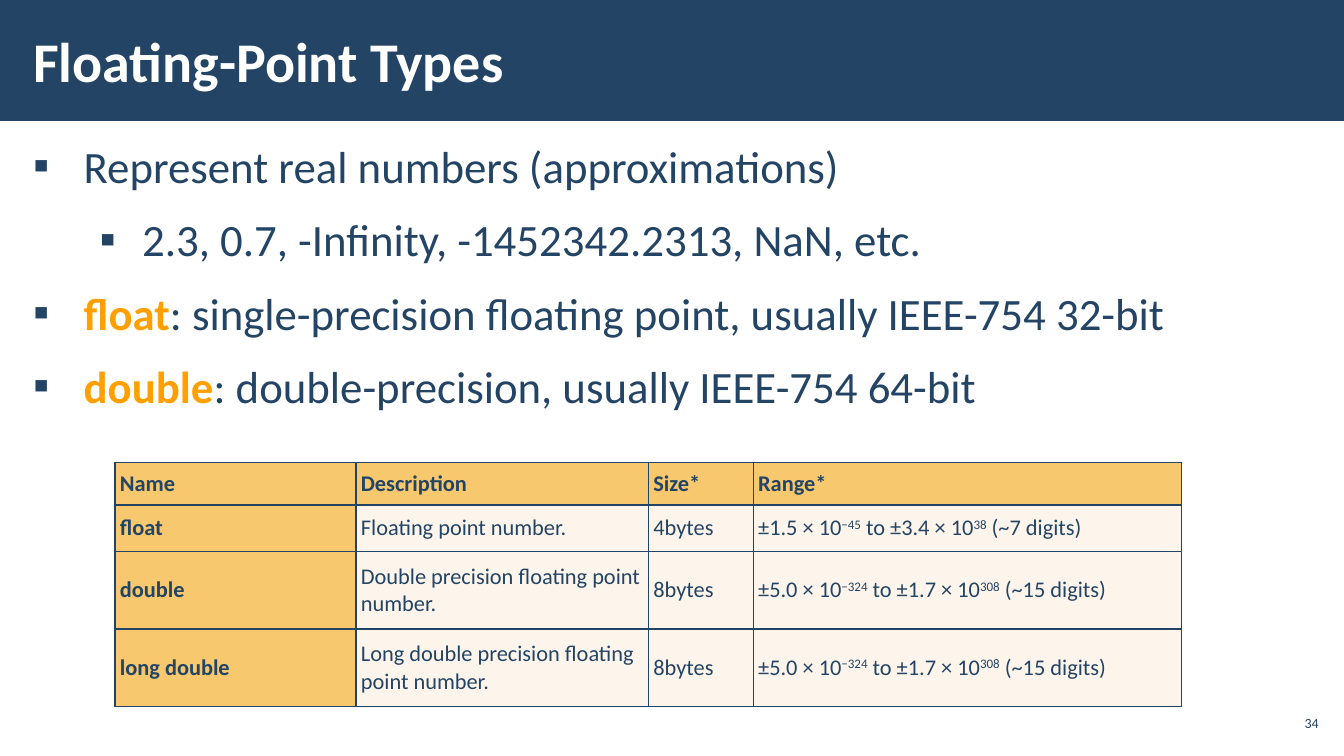
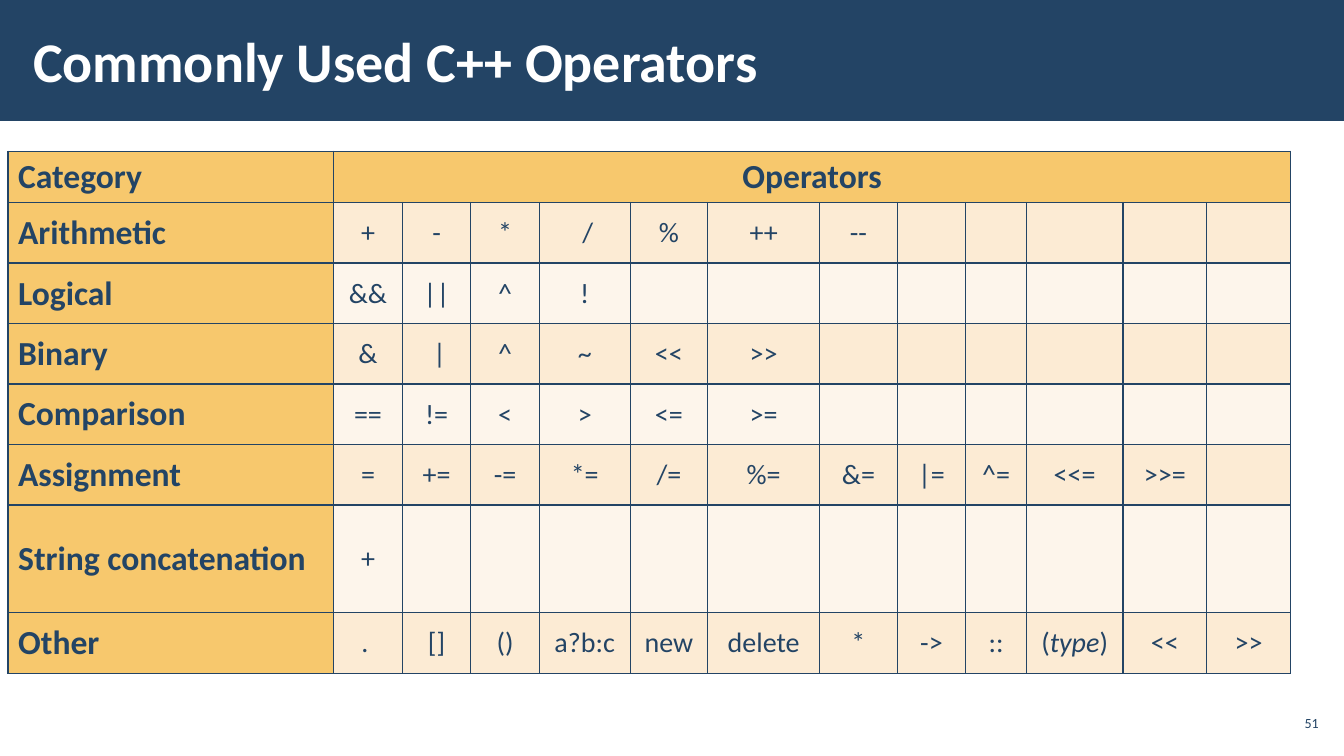
from dataclasses import dataclass

from lxml import etree
from pptx import Presentation
from pptx import util as u
from pptx.dml.color import RGBColor
from pptx.enum import shapes, text
from pptx.oxml import ns

# Shared look: 100 px to the inch
PX = 9144
SLIDE_W, SLIDE_H = 1333, 750
FONT = "Calibri"
NAVY, WHITE, ORANGE = "234465", "FFFFFF", "FFA000"
AMBER, CREAM, PEACH = "F7C86D", "FDF5EB", "FCEBD4"
LEFT, CENTER, RIGHT = text.PP_ALIGN.LEFT, text.PP_ALIGN.CENTER, text.PP_ALIGN.RIGHT


@dataclass(frozen=True)
class Run:
    text: str
    bold: bool = False
    italic: bool = False
    raised: bool = False
    color: str = NAVY


@dataclass(frozen=True)
class Bullet:
    runs: tuple[Run, ...]
    level: int = 0


@dataclass(frozen=True)
class Cell:
    runs: tuple[Run, ...]
    fill: str
    size: int
    align: text.PP_ALIGN = LEFT


@dataclass(frozen=True)
class Grid:
    left: int
    top: int
    columns: tuple[int, ...]
    rows: tuple[int, ...]
    margins: tuple[int, int]
    line_spacing: float


def px(length: int) -> u.Emu:
    return u.Emu(length * PX)


def rgb(color: str) -> RGBColor:
    return RGBColor.from_string(color)


# Text
def write(paragraph, runs: tuple[Run, ...], size: int, align=LEFT) -> None:
    paragraph.alignment = align
    for part in runs:
        run = paragraph.add_run()
        run.text = part.text
        font = run.font
        font.name, font.size = FONT, u.Pt(size)
        font.bold, font.italic = part.bold, part.italic
        font.color.rgb = rgb(part.color)
        if part.raised:
            run._r.get_or_add_rPr().set("baseline", "30000")


def add_frame(slide, left: int, top: int, width: int, height: int,
              side_margin: int, anchor=text.MSO_ANCHOR.MIDDLE):
    box = slide.shapes.add_textbox(px(left), px(top), px(width), px(height))
    frame = box.text_frame
    frame.word_wrap = True
    frame.vertical_anchor = anchor
    frame.margin_left = frame.margin_right = px(side_margin)
    frame.margin_top = frame.margin_bottom = px(4)
    return frame


def add_bullets(slide, bullets: list[Bullet]) -> None:
    indents = ((50, -50), (108, -42))
    frame = add_frame(slide, 21, 131, 1292, 569, 12, text.MSO_ANCHOR.TOP)
    for index, bullet in enumerate(bullets):
        paragraph = frame.add_paragraph() if index else frame.paragraphs[0]
        write(paragraph, bullet.runs, 32)
        paragraph.level = bullet.level
        paragraph.line_spacing = 1.05
        paragraph.space_before = paragraph.space_after = u.Pt(6)
        props = paragraph._p.get_or_add_pPr()
        margin, indent = indents[bullet.level]
        props.set("marL", str(px(margin)))
        props.set("indent", str(px(indent)))
        color = etree.SubElement(props, ns.qn("a:buClr"))
        etree.SubElement(color, ns.qn("a:srgbClr")).set("val", NAVY)
        etree.SubElement(props, ns.qn("a:buFont")).set("typeface", FONT)
        etree.SubElement(props, ns.qn("a:buChar")).set("char", "▪")


# Slide frame: band, title and page number
def add_slide(deck, title: str, number: int):
    slide = deck.slides.add_slide(deck.slide_layouts[6])
    band = slide.shapes.add_shape(
        shapes.MSO_SHAPE.RECTANGLE, 0, 0, px(SLIDE_W), px(120))
    band.shadow.inherit = False
    band.fill.solid()
    band.fill.fore_color.rgb = rgb(NAVY)
    band.line.fill.background()
    heading = add_frame(slide, 21, 11, 1039, 97, 12)
    write(heading.paragraphs[0], (Run(title, bold=True, color=WHITE),), 40)
    page = add_frame(slide, 1265, 700, 47, 34, 4)
    write(page.paragraphs[0], (Run(str(number)),), 10, RIGHT)
    return slide


# Tables
def add_borders(cell) -> None:
    props = cell._tc.get_or_add_tcPr()
    for side in ("a:lnL", "a:lnR", "a:lnT", "a:lnB"):
        line = etree.SubElement(props, ns.qn(side))
        line.set("w", str(u.Pt(1)))
        fill = etree.SubElement(line, ns.qn("a:solidFill"))
        etree.SubElement(fill, ns.qn("a:srgbClr")).set("val", NAVY)


def add_grid(slide, grid: Grid, cells: list[list[Cell]]):
    table = slide.shapes.add_table(
        len(grid.rows), len(grid.columns), px(grid.left), px(grid.top),
        px(sum(grid.columns)), px(sum(grid.rows))).table
    table.first_row = table.horz_banding = False
    for column, width in zip(table.columns, grid.columns):
        column.width = px(width)
    for row, height in zip(table.rows, grid.rows):
        row.height = px(height)
    side, edge = grid.margins
    for row, contents in zip(table.rows, cells):
        for cell, content in zip(row.cells, contents):
            cell.margin_left = cell.margin_right = px(side)
            cell.margin_top = cell.margin_bottom = px(edge)
            cell.vertical_anchor = text.MSO_ANCHOR.MIDDLE
            add_borders(cell)
            cell.fill.solid()
            cell.fill.fore_color.rgb = rgb(content.fill)
            paragraph = cell.text_frame.paragraphs[0]
            paragraph.line_spacing = grid.line_spacing
            write(paragraph, content.runs, content.size, content.align)
    return table


def label(words: str, size: int, align=LEFT) -> Cell:
    return Cell((Run(words, bold=True),), AMBER, size, align)


# Floating-point slide
def number_range(low: str, low_power: str, high: str, high_power: str,
                 digits: int) -> tuple[Run, ...]:
    return (Run(f"±{low} × 10"), Run(low_power, raised=True),
            Run(f" to ±{high} × 10"), Run(high_power, raised=True),
            Run(f" (~{digits} digits)"))


def build_floating_point(deck) -> None:
    slide = add_slide(deck, "Floating-Point Types", 34)
    add_bullets(slide, [
        Bullet((Run("Represent real numbers (approximations)"),)),
        Bullet((Run("2.3, 0.7, -Infinity, -1452342.2313, NaN, etc."),), 1),
        Bullet((Run("float", bold=True, color=ORANGE),
                Run(": single-precision floating point, usually IEEE-754 32-bit"))),
        Bullet((Run("double", bold=True, color=ORANGE),
                Run(": double-precision, usually IEEE-754 64-bit"))),
    ])
    single = number_range("1.5", "−45", "3.4", "38", 7)
    double = number_range("5.0", "−324", "1.7", "308", 15)
    types = [
        ("float", "Floating point number.", "4bytes", single),
        ("double", "Double precision floating point number.", "8bytes", double),
        ("long double", "Long double precision floating point number.",
         "8bytes", double),
    ]
    size = 16
    cells = [[label(head, size) for head in ("Name", "Description", "Size*", "Range*")]]
    for name, description, width, limits in types:
        details = ((Run(description),), (Run(width),), limits)
        cells.append([label(name, size)]
                     + [Cell(runs, CREAM, size) for runs in details])
    add_grid(slide, Grid(114, 459, (239, 290, 104, 425), (42, 46, 77, 77),
                         (5, 2), 1.0), cells)


# Operators slide
OPERATORS = {
    "Arithmetic": ("+", "-", "*", " /", "%", "++", "--"),
    "Logical": ("&&", "||", "^", "!"),
    "Binary": ("&", " |", "^", "~", "<<", ">>"),
    "Comparison": ("==", "!=", "<", ">", "<=", ">="),
    "Assignment": ("=", "+=", "-=", "*=", "/=", "%=", "&=", "|=", "^=",
                   "<<=", ">>="),
    "String concatenation": ("+",),
    "Other": (". ", "[]", "()", "a?b:c", "new", "delete", "*", "->", "::",
              "(type)", "<<", ">>"),
}


def operator_runs(symbol: str) -> tuple[Run, ...]:
    if symbol == "(type)":
        return Run("("), Run("type", italic=True), Run(")")
    return (Run(symbol),) if symbol else ()


def build_operators(deck) -> None:
    slide = add_slide(deck, "Commonly Used C++ Operators", 51)
    columns = (323, 68, 68, 68, 90, 77, 111, 77, 68, 60, 96, 83, 83)
    slots = len(columns) - 1
    blank = Cell((), AMBER, 20)
    cells = [[label("Category", 24), label("Operators", 24, CENTER)]
             + [blank] * (slots - 1)]
    for index, (category, symbols) in enumerate(OPERATORS.items()):
        fill = CREAM if index % 2 else PEACH
        padded = symbols + ("",) * (slots - len(symbols))
        cells.append([label(category, 24)]
                     + [Cell(operator_runs(symbol), fill, 20, CENTER)
                        for symbol in padded])
    rows = (51, 60, 60, 60, 60, 60, 107, 60)
    table = add_grid(slide, Grid(8, 150, columns, rows, (10, 5), 0.95), cells)
    table.cell(0, 1).merge(table.cell(0, slots))


def main() -> None:
    deck = Presentation()
    deck.slide_width, deck.slide_height = px(SLIDE_W), px(SLIDE_H)
    build_floating_point(deck)
    build_operators(deck)
    deck.save("out.pptx")


if __name__ == "__main__":
    main()
